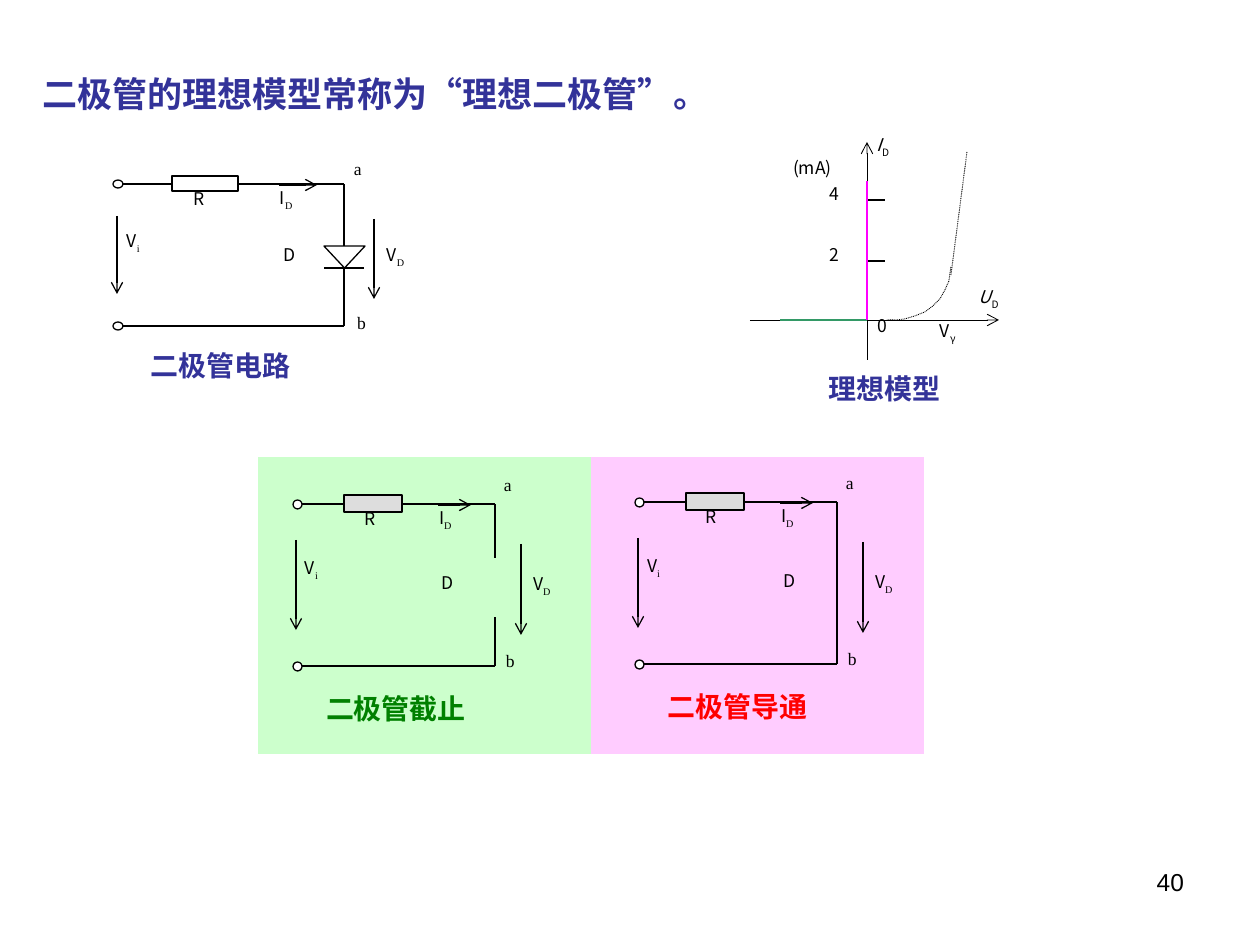
"""Build a slide on the ideal diode model with three circuits and one curve."""
import pptx
import pptx.util
import pptx.dml.color
import pptx.enum.dml
import pptx.enum.shapes
import pptx.enum.text
import pptx.oxml.ns
import lxml.etree

RGB = pptx.dml.color.RGBColor
BLACK = RGB(0x00, 0x00, 0x00)
WHITE = RGB(0xFF, 0xFF, 0xFF)
NAVY = RGB(0x33, 0x33, 0x99)
GREEN = RGB(0x00, 0x80, 0x00)
RED = RGB(0xFF, 0x00, 0x00)
GREY = RGB(0xDD, 0xDD, 0xDD)
MINT = RGB(0xCC, 0xFF, 0xCC)
PINK = RGB(0xFF, 0xCC, 0xFF)
TEAL = RGB(0x33, 0x99, 0x66)
ROSE = RGB(0xFF, 0x00, 0xFF)
SANS = "Noto Sans CJK SC"
SERIF = "Times New Roman"
UNIT = 914400 / 126
FORM = pptx.enum.shapes.MSO_SHAPE
ALIGN = pptx.enum.text.PP_ALIGN
DOT = pptx.enum.dml.MSO_LINE.ROUND_DOT


def px(*nums):
    return [pptx.util.Emu(round(n * UNIT)) for n in nums]


def child(parent, tag, **attrs):
    return lxml.etree.SubElement(parent, pptx.oxml.ns.qn(tag), attrs)


def style(para, size, color, font, bold=False):
    para.font.size = pptx.util.Pt(size)
    para.font.color.rgb = color
    para.font.bold = bold
    para.font.name = font
    base = para._p.find(".//" + pptx.oxml.ns.qn("a:defRPr"))
    child(base, "a:ea", typeface=SANS)


def bare(frame, side=0, edge=0):
    frame.word_wrap = True
    frame.margin_left = frame.margin_right = px(side)[0]
    frame.margin_top = frame.margin_bottom = px(edge)[0]


def label(slide, box, text, size=10, color=BLACK, font=SANS, bold=False):
    frame = slide.shapes.add_textbox(*px(*box)).text_frame
    bare(frame)
    para = frame.paragraphs[0]
    para.text = text
    style(para, size, color, font, bold)
    return para


def symbol(slide, box, main, sub, font=SANS, slant=False):
    para = label(slide, box, main)
    if slant:
        para.runs[0].font.italic = True
    run = para.add_run()
    run.text = sub
    if font != SANS:
        run.font.name = font
    run._r.get_or_add_rPr().set("baseline", "-30000")


def shape(slide, form, box, fill, edge=True):
    item = slide.shapes.add_shape(form, *px(*box))
    item.shadow.inherit = False
    item.fill.solid()
    item.fill.fore_color.rgb = fill
    if edge:
        item.line.color.rgb = BLACK
        item.line.width = pptx.util.Pt(0.75)
    else:
        item.line.fill.background()
    return item


def line(slide, ends, width=0.75, color=BLACK, arrow=False, dash=None):
    kind = pptx.enum.shapes.MSO_CONNECTOR.STRAIGHT
    item = slide.shapes.add_connector(kind, *px(*ends))
    item.line.color.rgb = color
    item.line.width = pptx.util.Pt(width)
    if dash:
        item.line.dash_style = dash
    props = item._element.spPr
    if arrow:
        child(props.find(pptx.oxml.ns.qn("a:ln")), "a:tailEnd", type="arrow")
    child(props, "a:effectLst")


def circuit(slide, area, fill, title, color):
    """Draw one loop; part positions refer to a loop of 198 by 162 px."""
    left, top, wide, high = area
    sx, sy = wide / 198, high / 162

    def box(x, y, w, h):
        return (left + round(x * sx), top + round(y * sy),
                round(w * sx), round(h * sy))

    def ends(x1, y1, x2, y2):
        return box(x1, y1, 0, 0)[:2] + box(x2, y2, 0, 0)[:2]

    for wire in ((0, 0, 198, 0), (198, 0, 198, 162), (198, 162, 0, 162)):
        line(slide, ends(*wire))
    shape(slide, FORM.RECTANGLE, box(47, -9, 58, 17), fill)
    for y in (-4, 158):
        shape(slide, FORM.OVAL, box(-4, y, 9, 9), WHITE)
    for flow in ((-1, 36, -1, 126), (224, 40, 224, 131), (141, 1, 174, 1)):
        line(slide, ends(*flow), arrow=True)
    label(slide, box(67, 4, 32, 40), "R")
    label(slide, box(145, 68, 24, 40), "D")
    for x, y, main, sub in ((8, 53, "V", "i"), (236, 69, "V", "D"),
                            (142, 3, "I", "D")):
        symbol(slide, box(x, y, 34, 40), main, sub, SERIF)
    label(slide, box(29, 188, 222, 50), title, 16, color, SERIF, True)
    label(slide, box(207, -30, 49, 53), "a", font=SERIF)
    label(slide, box(209, 146, 49, 53), "b", font=SERIF)


def diode(slide):
    shape(slide, FORM.ISOSCELES_TRIANGLE, (324, 246, 41, 22), WHITE).rotation = 180
    line(slide, (364, 268, 324, 268), 1)


def graph(slide):
    label(slide, (829, 372, 202, 34), "理想模型", 16, NAVY, SANS, True)
    line(slide, (867, 360, 867, 142), 0.5, arrow=True)
    line(slide, (750, 320, 999, 320), 0.5, arrow=True)
    line(slide, (967, 152, 951, 275), 0.5, dash=DOT)
    path = slide.shapes.build_freeform(951, 267, scale=UNIT)
    path.add_line_segments(
        [(949, 281), (945, 290), (940, 299), (933, 306), (925, 312),
         (915, 316), (905, 319), (896, 320), (887, 320)], close=False)
    bend = path.convert_to_shape()
    bend.shadow.inherit = False
    bend.fill.background()
    bend.line.color.rgb = BLACK
    bend.line.width = pptx.util.Pt(0.5)
    bend.line.dash_style = DOT
    for y, text in ((261, "2"), (200, "4")):
        line(slide, (867, y, 885, y))
        label(slide, (830, y - 17, 40, 30), text)
    label(slide, (878, 315, 26, 30), "0")
    label(slide, (793, 157, 67, 28), "(mA)")
    symbol(slide, (940, 320, 43, 29), "V", "γ")
    symbol(slide, (877, 134, 40, 30), "I", "D", slant=True)
    symbol(slide, (979, 286, 44, 30), "U", "D", slant=True)
    line(slide, (867, 320, 780, 320), 1.5, TEAL)
    line(slide, (867, 181, 867, 320), 1.5, ROSE)


def head(slide, text):
    title = slide.shapes.title
    title.left, title.top, title.width, title.height = px(42, 72, 793, 42)
    frame = title.text_frame
    frame.text = text
    bare(frame)
    frame.vertical_anchor = pptx.enum.text.MSO_ANCHOR.MIDDLE
    frame.paragraphs[0].alignment = ALIGN.LEFT
    style(frame.paragraphs[0], 20, NAVY, SANS, True)


def page(slide, text):
    para = label(slide, (916, 867, 268, 53), text, 14, font="Arial")
    para.alignment = ALIGN.RIGHT


def main():
    deck = pptx.Presentation()
    deck.slide_width, deck.slide_height = px(1260, 945)
    slide = deck.slides.add_slide(deck.slide_layouts[5])
    head(slide, "二极管的理想模型常称为“理想二极管”。")
    circuit(slide, (118, 184, 226, 142), WHITE, "二极管电路", NAVY)
    diode(slide)
    shape(slide, FORM.RECTANGLE, (591, 457, 333, 297), PINK, False)
    circuit(slide, (639, 502, 198, 162), GREY, "二极管导通", RED)
    shape(slide, FORM.RECTANGLE, (258, 457, 333, 297), MINT, False)
    circuit(slide, (297, 504, 198, 162), GREY, "二极管截止", GREEN)
    shape(slide, FORM.RECTANGLE, (484, 558, 20, 59), MINT, False)
    graph(slide)
    page(slide, "40")
    deck.save("out.pptx")


if __name__ == "__main__":
    main()
